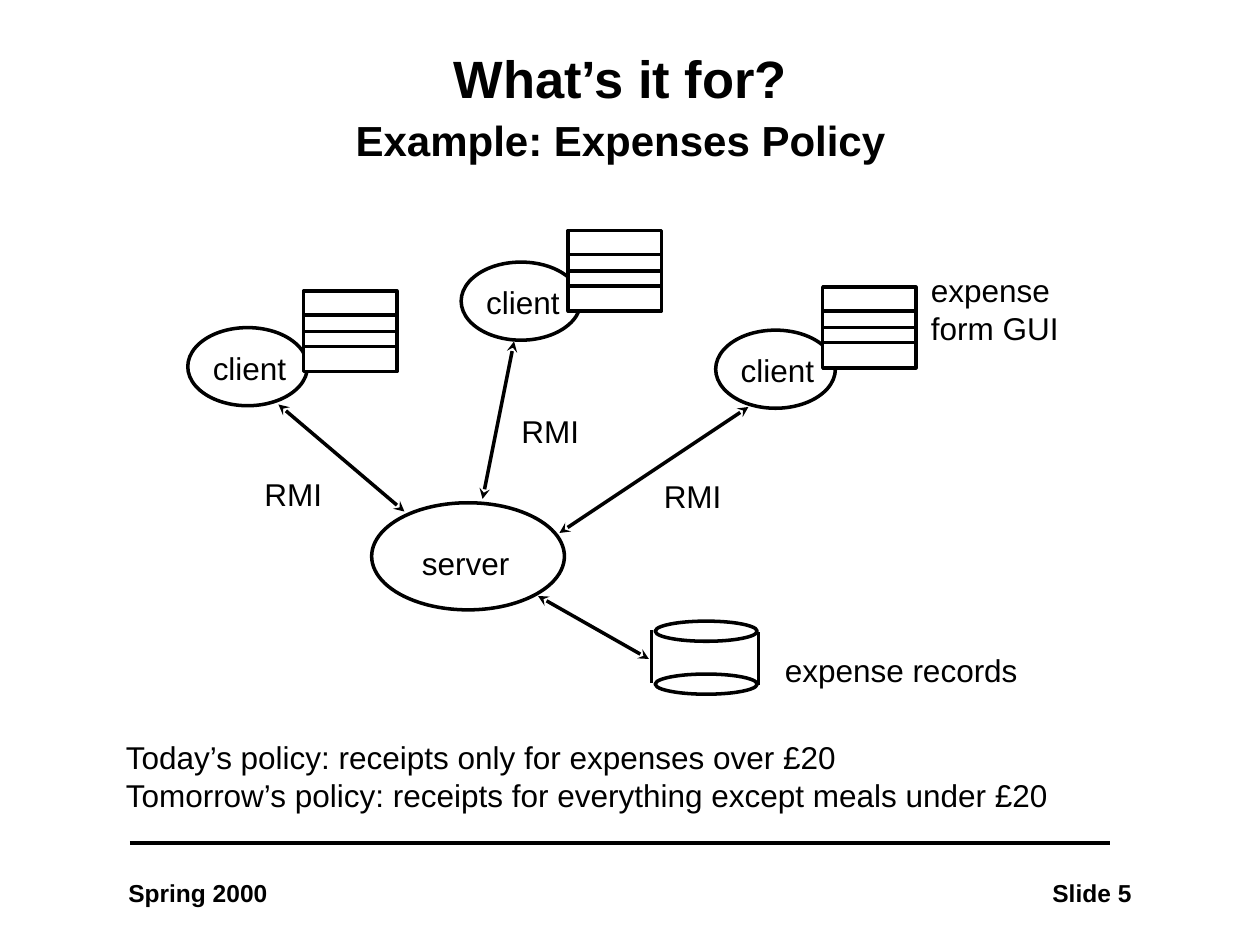
from dataclasses import dataclass

from lxml import etree
from pptx import Presentation
from pptx.dml.color import RGBColor
from pptx.enum import shapes, text
from pptx.oxml import ns
from pptx.util import Inches, Pt

COLORS = {"ink": "000000", "paper": "FFFFFF"}
FONT = "Arial"
LINE_WIDTH = Pt(2)


@dataclass
class Label:
    lines: list[str]
    left: float
    top: float
    width: float
    height: float = 0.4
    size: int = 18
    bold: bool = False
    align: text.PP_ALIGN = text.PP_ALIGN.LEFT


@dataclass
class Client:
    """An ellipse at left, top with a form overlapping its right side."""
    left: float
    top: float
    form_left: float
    form_top: float


@dataclass
class Stroke:
    x1: float
    y1: float
    x2: float
    y2: float
    arrows: bool = False


CLIENTS = [
    Client(1.49, 2.6, 2.41, 2.31),
    Client(5.68, 2.62, 6.53, 2.28),
    Client(3.66, 2.08, 4.51, 1.83),
]
FORM_WIDTH, FORM_HEIGHT = 0.74, 0.64
FORM_ROWS = [0.19, 0.32, 0.44]

LABELS = [
    Label(["Slide 5"], 7.41, 6.92, 1.67, 0.33, 14, True, text.PP_ALIGN.RIGHT),
    Label(["Spring 2000"], 0.92, 6.92, 1.31, 0.33, 14, True),
    Label(["server"], 3.25, 4.27, 0.9),
    Label(["expense records"], 6.13, 5.12, 2.05),
    Label(["expense", "form GUI"], 7.29, 2.1, 1.22, 0.7),
    Label(["RMI"], 2, 3.72, 0.66),
    Label(["RMI"], 4.04, 3.22, 0.66),
    Label(["RMI"], 5.17, 3.74, 0.66),
    Label(["Today’s policy: receipts only for expenses over £20",
           "Tomorrow’s policy: receipts for everything except meals under £20"],
          0.9, 5.81, 7.55, 0.7),
]

STROKES = [
    Stroke(1.03, 6.69, 8.81, 6.69),
    # Sides of the records store
    Stroke(5.17, 5, 5.17, 5.42),
    Stroke(6.02, 5.02, 6.02, 5.44),
    # Calls between the server and its neighbours
    Stroke(2.21, 3.21, 3.21, 4.06, True),
    Stroke(4.08, 2.71, 3.83, 3.96, True),
    Stroke(5.94, 3.23, 4.44, 4.23, True),
    Stroke(5.15, 5.23, 4.27, 4.73, True),
]


def color(name: str) -> RGBColor:
    return RGBColor.from_string(COLORS[name])


def style_font(font, size: int, bold: bool) -> None:
    font.name, font.size, font.bold = FONT, Pt(size), bold
    font.color.rgb = color("ink")


def add_label(page, label: Label) -> None:
    box = page.shapes.add_textbox(Inches(label.left), Inches(label.top),
                                  Inches(label.width), Inches(label.height))
    frame = box.text_frame
    frame.word_wrap = False
    frame.auto_size = text.MSO_AUTO_SIZE.SHAPE_TO_FIT_TEXT
    frame.text = "\n".join(label.lines)
    for para in frame.paragraphs:
        para.alignment = label.align
        style_font(para.font, label.size, label.bold)


def add_outline(page, kind, left: float, top: float, width: float,
                height: float, fill: str | None = None) -> None:
    shape = page.shapes.add_shape(kind, Inches(left), Inches(top),
                                  Inches(width), Inches(height))
    shape.shadow.inherit = False
    if fill:
        shape.fill.solid()
        shape.fill.fore_color.rgb = color(fill)
    else:
        shape.fill.background()
    shape.line.color.rgb = color("ink")
    shape.line.width = LINE_WIDTH


def add_stroke(page, stroke: Stroke) -> None:
    line = page.shapes.add_connector(
        shapes.MSO_CONNECTOR.STRAIGHT, Inches(stroke.x1), Inches(stroke.y1),
        Inches(stroke.x2), Inches(stroke.y2))
    line.line.color.rgb = color("ink")
    line.line.width = LINE_WIDTH
    if stroke.arrows:
        for end in ("a:headEnd", "a:tailEnd"):
            etree.SubElement(line.line._get_or_add_ln(), ns.qn(end), type="stealth")
    etree.SubElement(line._element.spPr, ns.qn("a:effectLst"))


def add_ellipse(page, left: float, top: float, width: float, height: float) -> None:
    add_outline(page, shapes.MSO_SHAPE.OVAL, left, top, width, height)


def add_client(page, client: Client) -> None:
    add_label(page, Label(["client"], client.left + 0.1, client.top + 0.12, 0.79))
    add_ellipse(page, client.left, client.top, 0.95, 0.62)
    add_outline(page, shapes.MSO_SHAPE.RECTANGLE, client.form_left,
                client.form_top, FORM_WIDTH, FORM_HEIGHT, "paper")
    for row in FORM_ROWS:
        y = client.form_top + row
        add_stroke(page, Stroke(client.form_left, y, client.form_left + FORM_WIDTH, y))


def set_title(page) -> None:
    title = page.shapes.title
    title.left, title.top = Inches(1.08), Inches(0.33)
    title.width, title.height = Inches(7.69), Inches(0.96)
    frame = title.text_frame
    frame.auto_size = text.MSO_AUTO_SIZE.NONE
    frame.vertical_anchor = text.MSO_ANCHOR.MIDDLE
    para = frame.paragraphs[0]
    para.alignment = text.PP_ALIGN.CENTER
    para.line_spacing = 1.1
    para.text = "What’s it for?\vExample: Expenses Policy"
    for span, size in zip(para.runs, (30, 24)):
        style_font(span.font, size, True)


def main() -> None:
    deck = Presentation()
    deck.slide_width, deck.slide_height = Inches(10), Inches(7.5)
    page = deck.slides.add_slide(deck.slide_layouts[5])
    set_title(page)
    for client in CLIENTS:
        add_client(page, client)
    add_ellipse(page, 2.95, 3.99, 1.53, 0.85)
    for store_top in (4.93, 5.35):
        add_ellipse(page, 5.2, store_top, 0.81, 0.16)
    for stroke in STROKES:
        add_stroke(page, stroke)
    for label in LABELS:
        add_label(page, label)
    deck.save("out.pptx")


if __name__ == "__main__":
    main()
